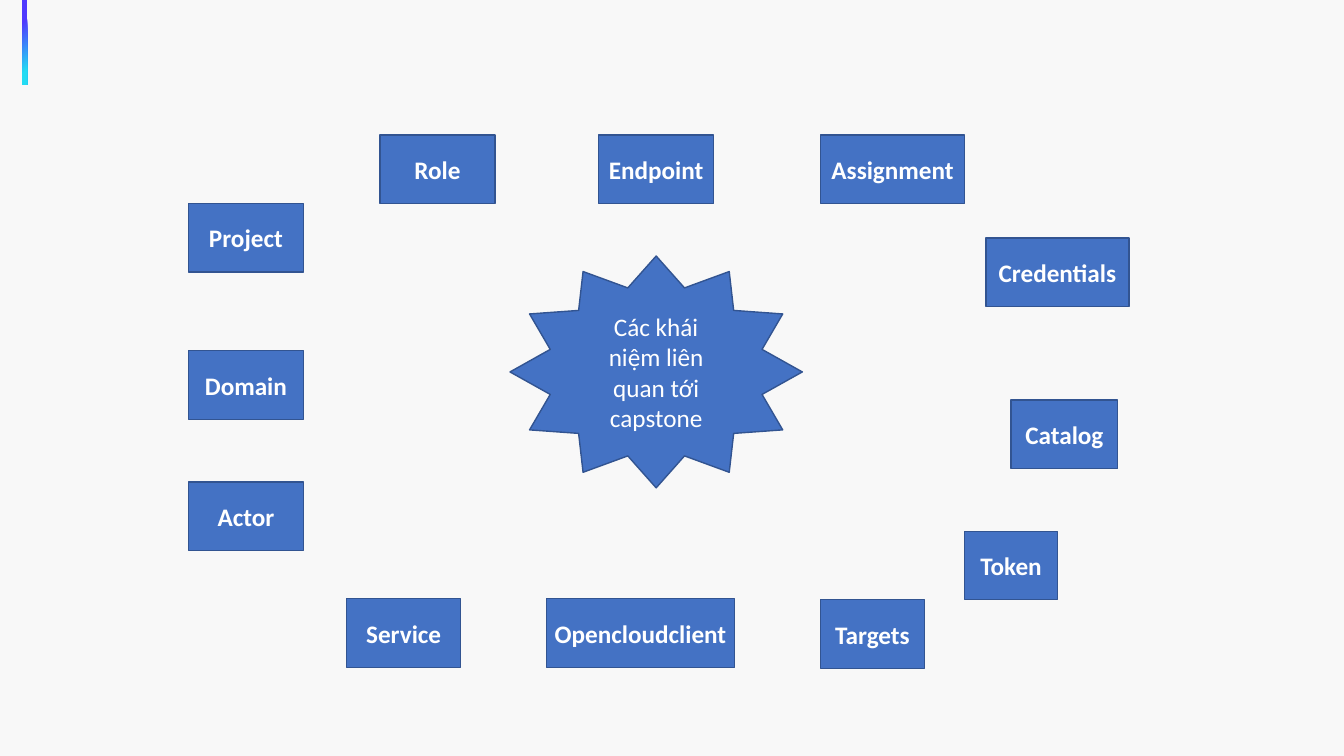
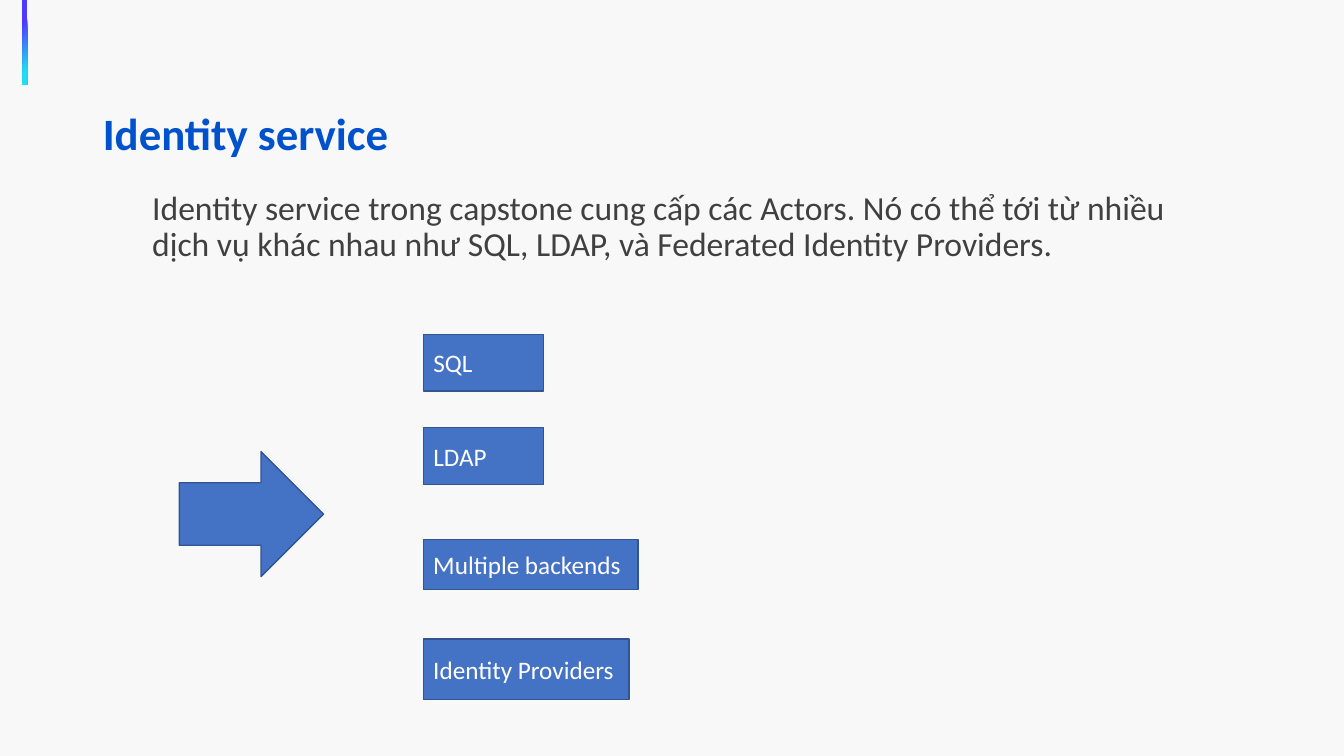
"""Builds two slides on the concepts and the identity service of a cloud."""
from dataclasses import dataclass
from typing import Any

from lxml.etree import SubElement
from pptx import Presentation
from pptx.dml.color import RGBColor
from pptx.enum.shapes import MSO_SHAPE
from pptx.enum.text import MSO_ANCHOR, MSO_AUTO_SIZE, PP_ALIGN
from pptx.oxml.ns import qn
from pptx.util import Inches, Pt

CELL = 0.1
COLS, ROWS = 133.33, 75


@dataclass(frozen=True)
class Theme:
    font: str = "Calibri"
    page: str = "F8F8F8"
    box: str = "4472C4"
    edge: str = "325491"
    light: str = "FFFFFF"
    head: str = "0052CC"
    body: str = "404040"
    fade: tuple = ((0.26, "5039FE"), (0.83, "23DCF3"))
    small: int = 18
    mid: int = 24
    big: int = 32


@dataclass(frozen=True)
class Area:
    col: float
    row: float
    wide: float
    high: float


@dataclass(frozen=True)
class Item:
    text: str
    area: Area


@dataclass(frozen=True)
class Style:
    size: int
    ink: str
    bold: bool
    frame: dict
    para: dict


THEME = Theme()
MID = {"vertical_anchor": MSO_ANCHOR.MIDDLE, "auto_size": MSO_AUTO_SIZE.NONE}
TOP = {**MID, "vertical_anchor": MSO_ANCHOR.TOP}
WRAP = {**MID, "word_wrap": True}
LEFT = {"alignment": PP_ALIGN.LEFT}
CENTER = {"alignment": PP_ALIGN.CENTER}
TIGHT = {**LEFT, "line_spacing": 0.9}

TAG = Style(THEME.small, THEME.light, True, {**MID, "word_wrap": False}, CENTER)
STAR = Style(THEME.small, THEME.light, False, WRAP, CENTER)
BACK = Style(THEME.small, THEME.light, False, WRAP, LEFT)
HEAD = Style(THEME.big, THEME.head, True, WRAP,
             {**TIGHT, "space_before": Pt(0)})
BODY = Style(THEME.mid, THEME.body, False, {**TOP, "word_wrap": True},
             {**TIGHT, "space_before": Pt(10)})

TALL = 6.8
SIDE, UPPER, LOWER = 18.7, 13.4, 59.4
TAGS = [Item(text, Area(col, row, wide, TALL)) for text, col, row, wide in (
    ("Project", SIDE, 20.2, 11.4),
    ("Domain", SIDE, 34.8, 11.4),
    ("Actor", SIDE, 47.8, 11.4),
    ("Role", 37.7, UPPER, 11.4),
    ("Endpoint", 59.4, UPPER, 11.4),
    ("Assignment", 81.4, UPPER, 14.3),
    ("Credentials", 97.8, 23.6, 14.2),
    ("Catalog", 100.3, 39.7, 10.6),
    ("Token", 95.7, 52.7, 9.2),
    ("Service", 34.4, LOWER, 11.3),
    ("Opencloudclient", 54.2, LOWER, 18.7),
    ("Targets", 81.4, 59.5, 10.3),
)]
BACKS = [Item(text, Area(42, row, wide, high)) for text, row, wide, high in (
    ("SQL", 33.2, 11.9, 5.6),
    ("LDAP", 42.4, 11.9, 5.7),
    ("Multiple backends", 53.5, 21.3, 5),
    ("Identity Providers", 63.4, 20.4, 6),
)]


def span(cells: float) -> int:
    """Turn grid cells into a length."""
    return Inches(cells * CELL)


def apply(target: Any, values: dict) -> None:
    """Set each named value on the target."""
    for name, value in values.items():
        setattr(target, name, value)


def place(area: Area) -> tuple:
    """Give left, top, width and height of an area."""
    return tuple(map(span, (area.col, area.row, area.wide, area.high)))


def write(shape: Any, text: str, style: Style) -> Any:
    """Put styled text in a shape and return its paragraph."""
    frame = shape.text_frame
    apply(frame, style.frame)
    para = frame.paragraphs[0]
    apply(para, style.para)
    run = para.add_run()
    run.text = text
    apply(run.font, {"name": THEME.font, "size": Pt(style.size),
                     "bold": style.bold})
    run.font.color.rgb = RGBColor.from_string(style.ink)
    return para


def draw(slide: Any, kind: MSO_SHAPE, area: Area) -> Any:
    """Add a filled and outlined shape."""
    shape = slide.shapes.add_shape(kind, *place(area))
    shape.shadow.inherit = False
    shape.fill.solid()
    shape.fill.fore_color.rgb = RGBColor.from_string(THEME.box)
    shape.line.color.rgb = RGBColor.from_string(THEME.edge)
    shape.line.width = Pt(1)
    return shape


def boxes(slide: Any, items: list, style: Style) -> None:
    """Draw a labelled box for each item."""
    for item in items:
        write(draw(slide, MSO_SHAPE.RECTANGLE, item.area), item.text, style)


def hold(shape: Any, area: Area, text: str, style: Style) -> Any:
    """Move and fill a placeholder."""
    apply(shape, dict(zip(("left", "top", "width", "height"), place(area))))
    return write(shape, text, style)


def brand(deck: Any, slide: Any) -> None:
    """Give the master its background and gradient bar."""
    master = deck.slide_master
    master.background.fill.solid()
    master.background.fill.fore_color.rgb = RGBColor.from_string(THEME.page)
    bar = draw(slide, MSO_SHAPE.RECTANGLE, Area(2.2, 0, 0.5, 8.4))
    bar.line.fill.background()
    bar.fill.gradient()
    bar.fill.gradient_angle = 315
    for stop, (spot, tint) in zip(bar.fill.gradient_stops, THEME.fade):
        stop.position = spot
        stop.color.rgb = RGBColor.from_string(tint)
    bar.element.nvSpPr.cNvPr.set("id", "99")
    master.shapes.element.insert(2, bar.element)


def terms(slide: Any) -> None:
    """Draw the concepts around the star."""
    star = draw(slide, MSO_SHAPE.STAR_12_POINT, Area(50.6, 25.4, 29, 23))
    write(star, "Các khái niệm liên quan tới capstone", STAR)
    boxes(slide, TAGS, TAG)


def service(slide: Any) -> None:
    """Draw the identity service and its backends."""
    title, body = slide.placeholders
    hold(title, Area(9.2, 8.4, 115, 10.1), "Identity service", HEAD)
    para = hold(body, Area(14.1, 18.5, 105.1, 14.7),
                "Identity service trong capstone cung cấp các Actors. "
                "Nó có thể tới từ nhiều dịch vụ khác nhau như SQL, LDAP, "
                "và Federated Identity Providers.", BODY)
    props = para._p.get_or_add_pPr()
    for name in ("marL", "indent"):
        props.set(name, "0")
    SubElement(props, qn("a:buNone"))
    draw(slide, MSO_SHAPE.RIGHT_ARROW, Area(17.8, 44.8, 14.3, 12.4))
    boxes(slide, BACKS, BACK)


def main() -> None:
    """Build and save the deck."""
    deck = Presentation()
    apply(deck, {"slide_width": span(COLS), "slide_height": span(ROWS)})
    first, second = (deck.slides.add_slide(deck.slide_layouts[index])
                     for index in (6, 1))
    brand(deck, first)
    terms(first)
    service(second)
    deck.save("out.pptx")


if __name__ == "__main__":
    main()
